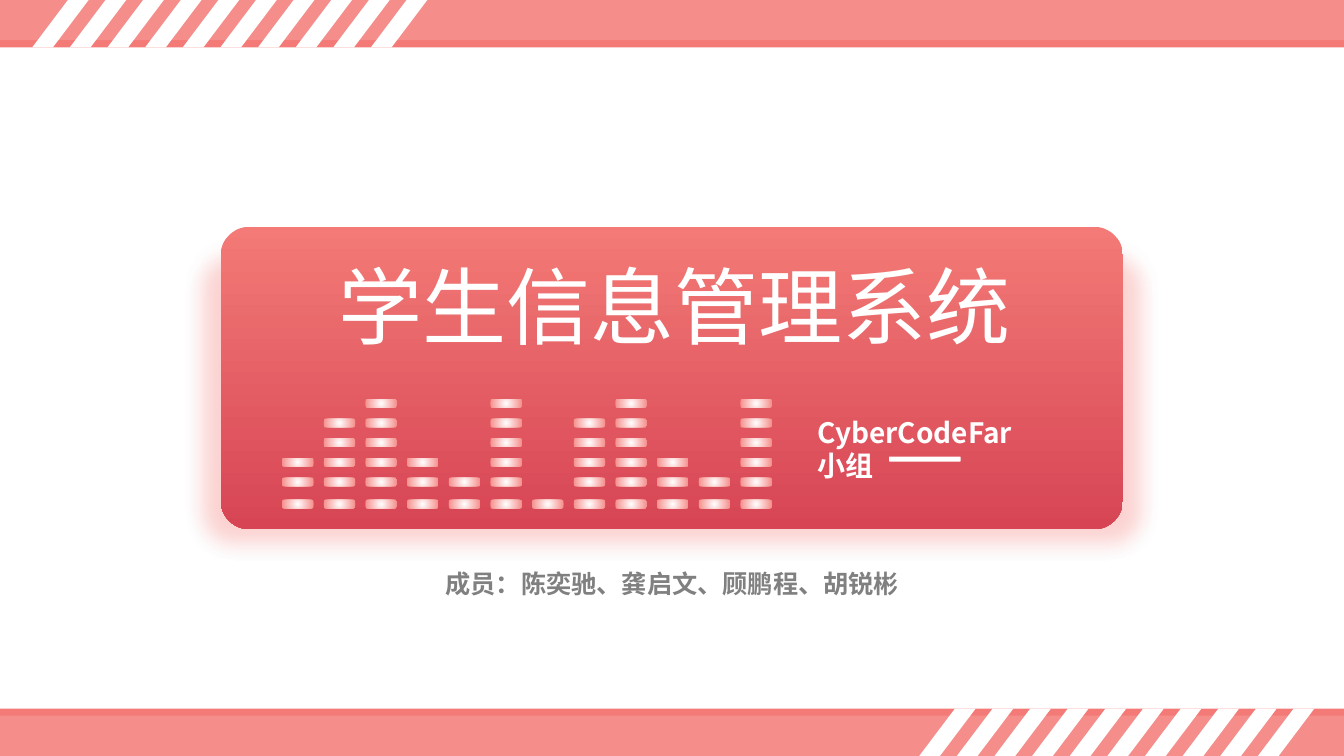
from lxml.etree import SubElement
from pptx import Presentation
from pptx.dml.color import RGBColor
from pptx.enum.shapes import MSO_SHAPE
from pptx.enum.text import MSO_AUTO_SIZE, PP_ALIGN
from pptx.oxml.ns import qn
from pptx.util import Inches, Pt

CORAL = RGBColor(0xF3, 0x7A, 0x76)
LIGHT_CORAL = RGBColor(0xF5, 0x8E, 0x8B)
CRIMSON = RGBColor(0xD7, 0x45, 0x55)
WHITE = RGBColor(0xFF, 0xFF, 0xFF)
GRAY = RGBColor(0x80, 0x80, 0x80)

COLUMNS, ROWS = 160, 90
BAR_LEVELS = (3, 5, 6, 3, 2, 6, 1, 5, 6, 3, 2, 6)
STRIPE_COUNT = 10


def apply_format(target, values):
    for name, value in values.items():
        setattr(target, name, value)


def add_element(parent, tag, **attributes):
    values = {name: str(value) for name, value in attributes.items()}
    return SubElement(parent, qn(tag), values)


class SlideBuilder:
    """Holds the style and the slide; lengths are grid columns and rows."""

    font_name = "Noto Sans CJK SC"

    def __init__(self, presentation):
        self.column = presentation.slide_width / COLUMNS
        self.row = presentation.slide_height / ROWS
        self.slide = presentation.slides.add_slide(presentation.slide_layouts[6])

    def place(self, left, top, width, height):
        return (round(left * self.column), round(top * self.row),
                round(width * self.column), round(height * self.row))

    def block(self, kind, box, color, adjustment=None, rotation=0):
        shape = self.slide.shapes.add_shape(kind, *self.place(*box))
        shape.shadow.inherit = False
        shape.line.fill.background()
        shape.fill.solid()
        shape.fill.fore_color.rgb = color
        shape.rotation = rotation
        if adjustment is not None:
            shape.adjustments[0] = adjustment
        return shape

    def gradient_block(self, box, colors, adjustment=None, radial=False):
        shape = self.block(MSO_SHAPE.ROUNDED_RECTANGLE, box, colors[0], adjustment)
        shape.fill.gradient()
        shape.fill.gradient_angle = 270
        for stop, color in zip(shape.fill.gradient_stops, colors):
            stop.color.rgb = color
        if radial:
            gradient = shape.element.spPr.find(qn("a:gradFill"))
            gradient.remove(gradient.find(qn("a:lin")))
            center = add_element(gradient, "a:path", path="circle")
            add_element(center, "a:fillToRect", l=50000, t=50000, r=50000, b=50000)
        return shape

    def halo(self, box, color, adjustment):
        shape = self.block(MSO_SHAPE.ROUNDED_RECTANGLE, box, color, adjustment)
        properties = shape.element.spPr
        fill_color = properties.find(qn("a:solidFill")).find(qn("a:srgbClr"))
        add_element(fill_color, "a:alpha", val=30000)
        effects = properties.find(qn("a:effectLst"))
        shadow = add_element(effects, "a:outerShdw", blurRad=Pt(4), dist=Pt(3),
                             dir=5400000, algn="t", rotWithShape=0)
        shadow_color = add_element(shadow, "a:srgbClr", val=color)
        add_element(shadow_color, "a:alpha", val=40000)
        add_element(effects, "a:softEdge", rad=Pt(15))

    def text(self, box, lines, font_format, paragraph_format=None):
        frame = self.slide.shapes.add_textbox(*self.place(*box)).text_frame
        apply_format(frame, {"word_wrap": True,
                             "auto_size": MSO_AUTO_SIZE.SHAPE_TO_FIT_TEXT})
        frame.text = "\n".join(lines)
        for paragraph in frame.paragraphs:
            apply_format(paragraph, paragraph_format or {})
            for run in paragraph.runs:
                apply_format(run.font, {"name": self.font_name})
                color = font_format["color"]
                apply_format(run.font, {key: value for key, value in font_format.items()
                                        if key != "color"})
                run.font.color.rgb = color
                add_element(run.font._element, "a:ea", typeface=self.font_name)

    def level_bars(self, left, bottom, levels):
        for index, count in enumerate(levels):
            for level in range(count):
                # The lowest gap is slightly wider than the rest
                rise = 2.34 * level + (0.3 if level else 0)
                self.gradient_block((left + 4.96 * index, bottom - rise, 3.72, 1),
                                    (WHITE, LIGHT_CORAL), radial=True)

    def stripes(self, left, top):
        for index in range(STRIPE_COUNT):
            self.block(MSO_SHAPE.PARALLELOGRAM,
                       (left + 4.48 * index, top, 6.72, 5.64), WHITE, 0.754)


def main():
    presentation = Presentation()
    presentation.slide_width = Inches(13.333)
    presentation.slide_height = Inches(7.5)
    builder = SlideBuilder(presentation)

    # Glow, dark band edges and title card
    builder.halo((21.72, 28.08, 116.52, 39), CORAL, 0.1)
    for top in (0.84, 84.36):
        builder.block(MSO_SHAPE.RECTANGLE, (0, top, COLUMNS, 4.8), CORAL)
    builder.gradient_block((26.28, 27, 107.4, 36), (CORAL, CRIMSON), 0.095)

    # Title and equalizer bars
    builder.text((39.12, 29.76, 87.12, 13.32), ["学生信息管理系统"],
                 {"size": Pt(60), "color": WHITE})
    builder.level_bars(33.6, 59.52, BAR_LEVELS)

    # Team name with its dash, and the members
    builder.text((96.12, 48.84, 27.84, 9.24), ["CyberCodeFar", "小组"],
                 {"size": Pt(20), "bold": True, "color": WHITE})
    builder.block(MSO_SHAPE.ROUNDED_RECTANGLE, (109.8, 50.4, 0.6, 8.52), WHITE,
                  rotation=90)
    builder.text((20.64, 66, 118.8, 5.28), ["成员：陈奕驰、龚启文、顾鹏程、胡锐彬"],
                 {"size": Pt(18), "bold": True, "color": GRAY},
                 {"alignment": PP_ALIGN.CENTER, "line_spacing": 1.3})

    # Light bands and their slanted stripes
    for top in (85.2, 0):
        builder.block(MSO_SHAPE.RECTANGLE, (0, top, COLUMNS, 4.8), LIGHT_CORAL)
    for left, top in ((3.84, 0), (109.44, 84.36)):
        builder.stripes(left, top)

    presentation.save("out.pptx")


if __name__ == "__main__":
    main()
